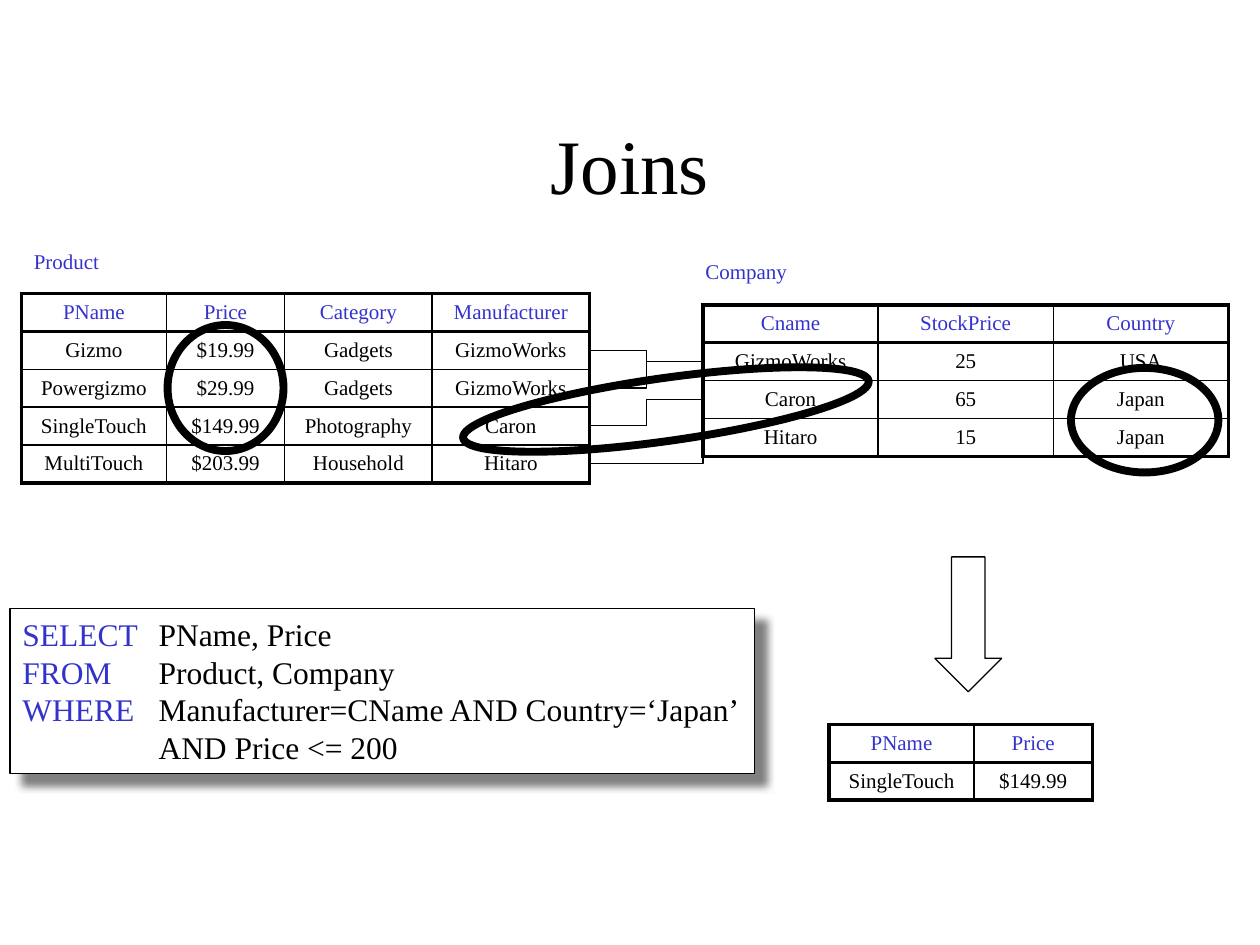
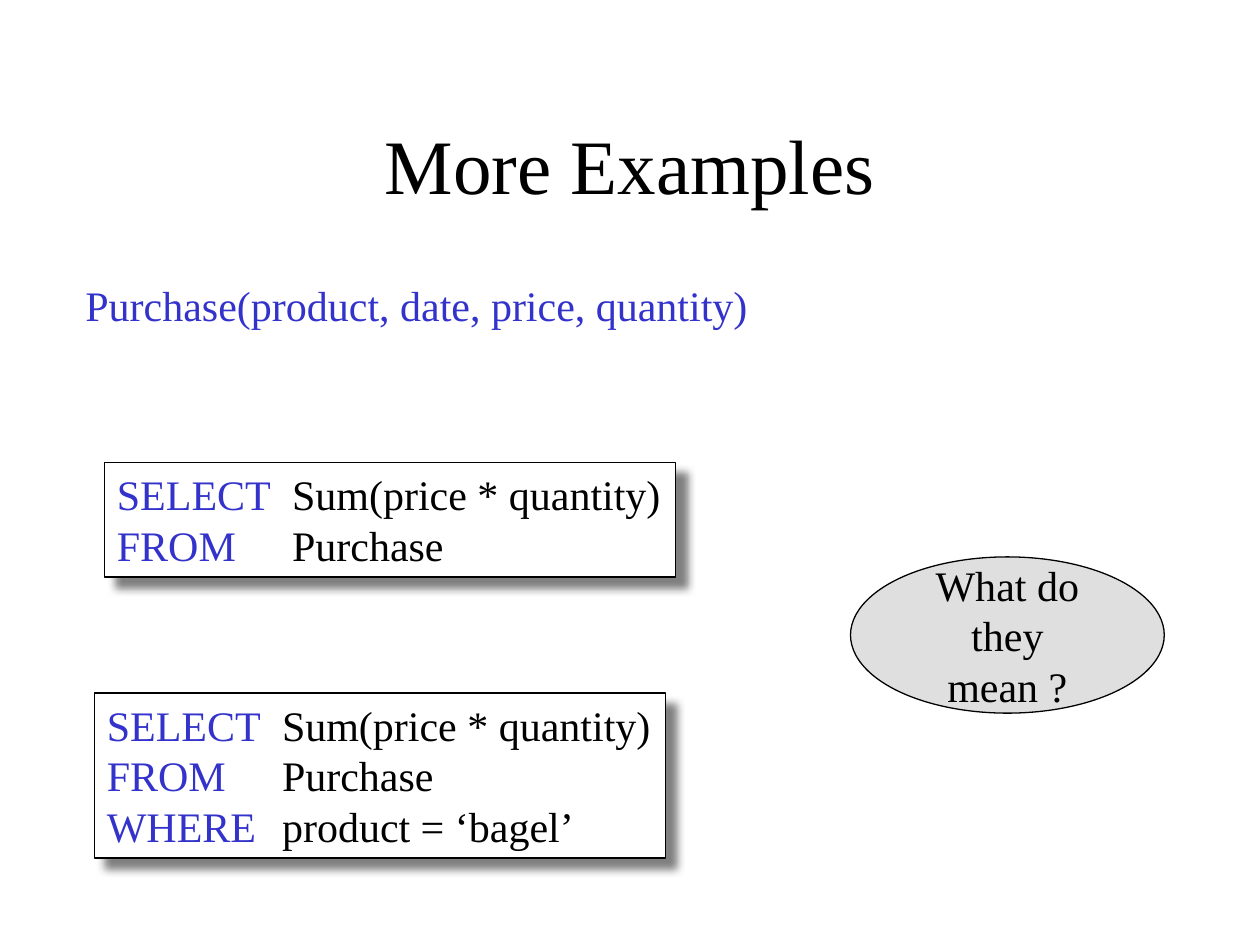
from dataclasses import dataclass

from lxml.etree import SubElement
from pptx import Presentation
from pptx.dml.color import RGBColor
from pptx.enum.shapes import MSO_CONNECTOR, MSO_SHAPE
from pptx.enum.text import MSO_ANCHOR, PP_ALIGN
from pptx.oxml.ns import qn
from pptx.shapes.autoshape import Shape
from pptx.slide import Slide
from pptx.table import _Cell
from pptx.text.text import TextFrame, _Paragraph
from pptx.util import Inches, Pt

BLACK = RGBColor(0x00, 0x00, 0x00)
WHITE = RGBColor(0xFF, 0xFF, 0xFF)
BLUE = RGBColor(0x33, 0x33, 0xCC)
SILVER = RGBColor(0xC0, 0xC0, 0xC0)
SHADOW_GRAY = RGBColor(0x80, 0x80, 0x80)
FONT = "Times New Roman"

ROW_HEIGHT = 0.3
THICK, THIN, HAIRLINE, MARKER = 2.25, 1, 0.75, 4.5


@dataclass(frozen=True)
class Box:
    left: float
    top: float
    width: float
    height: float

    def inches(self) -> tuple[Inches, Inches, Inches, Inches]:
        return (Inches(self.left), Inches(self.top),
                Inches(self.width), Inches(self.height))


@dataclass(frozen=True)
class Relation:
    left: float
    top: float
    columns: tuple[float, ...]
    rows: tuple[tuple[str, ...], ...]
    fill: RGBColor | None = None

    @property
    def right(self) -> float:
        return self.left + sum(self.columns)

    @property
    def bottom(self) -> float:
        return self.top + ROW_HEIGHT * len(self.rows)

    def row_middle(self, row: int) -> float:
        return self.top + ROW_HEIGHT * (row + 0.5)


@dataclass(frozen=True)
class Query:
    box: Box
    size: float
    clause_indent: float
    clauses: tuple[tuple[str, str], ...]


@dataclass(frozen=True)
class Highlight:
    box: Box
    rotation: float = 0


PRODUCT = Relation(0.17, 2.33, (1.15, 0.94, 1.17, 1.25), (
    ("PName", "Price", "Category", "Manufacturer"),
    ("Gizmo", "$19.99", "Gadgets", "GizmoWorks"),
    ("Powergizmo", "$29.99", "Gadgets", "GizmoWorks"),
    ("SingleTouch", "$149.99", "Photography", "Caron"),
    ("MultiTouch", "$203.99", "Household", "Hitaro"),
))
COMPANY = Relation(5.58, 2.42, (1.39, 1.39, 1.39), (
    ("Cname", "StockPrice", "Country"),
    ("GizmoWorks", "25", "USA"),
    ("Caron", "65", "Japan"),
    ("Hitaro", "15", "Japan"),
), WHITE)
ANSWER = Relation(6.58, 5.75, (1.15, 0.94), (
    ("PName", "Price"),
    ("SingleTouch", "$149.99"),
))
# Product row -> matching Company row
MATCHES = ((1, 1), (3, 2), (2, 1))

HIGHLIGHTS = (
    Highlight(Box(8.5, 2.92, 1.17, 0.83)),
    Highlight(Box(1.33, 2.58, 0.92, 1)),
    Highlight(Box(3.66, 3, 3.25, 0.5), 352),
)

JOIN_QUERY = Query(Box(0.08, 4.83, 5.91, 1.31), 18, 1.08, (
    ("SELECT", "PName, Price"),
    ("FROM", "Product, Company"),
    ("WHERE", "Manufacturer=CName AND Country=‘Japan’"),
    ("", "AND Price <= 200"),
))
TOTAL_CLAUSES = (("SELECT", "Sum(price * quantity)"), ("FROM", "Purchase"))
SUM_QUERIES = (
    Query(Box(0.83, 3.67, 4.53, 0.91), 24, 1.39, TOTAL_CLAUSES),
    Query(Box(0.75, 5.5, 4.53, 1.31), 24, 1.39,
          TOTAL_CLAUSES + (("WHERE", "product = ‘bagel’"),)),
)


def add_run(paragraph: _Paragraph, text: str, size: float, color: RGBColor) -> None:
    run = paragraph.add_run()
    run.text = text
    run.font.name = FONT
    run.font.size = Pt(size)
    run.font.color.rgb = color


def next_paragraph(frame: TextFrame, index: int) -> _Paragraph:
    return frame.add_paragraph() if index else frame.paragraphs[0]


def add_label(slide: Slide, box: Box, text: str, size: float = 12,
              color: RGBColor = BLUE) -> TextFrame:
    frame = slide.shapes.add_textbox(*box.inches()).text_frame
    frame.word_wrap = True
    add_run(frame.paragraphs[0], text, size, color)
    return frame


def add_title(slide: Slide, text: str) -> None:
    frame = add_label(slide, Box(0.75, 0.67, 8.5, 1.25), text, 44, BLACK)
    frame.vertical_anchor = MSO_ANCHOR.MIDDLE
    frame.paragraphs[0].alignment = PP_ALIGN.CENTER


def add_outlined(slide: Slide, kind: MSO_SHAPE, box: Box,
                 line_width: float = HAIRLINE, fill: RGBColor | None = None) -> Shape:
    shape = slide.shapes.add_shape(kind, *box.inches())
    shape.shadow.inherit = False
    if fill is None:
        shape.fill.background()
    else:
        shape.fill.solid()
        shape.fill.fore_color.rgb = fill
    shape.line.color.rgb = BLACK
    shape.line.width = Pt(line_width)
    return shape


def set_borders(cell: _Cell, widths: dict[str, float]) -> None:
    properties = cell._tc.get_or_add_tcPr()
    for side, width in widths.items():
        border = SubElement(properties, qn(f"a:ln{side}"), w=str(Pt(width)))
        fill = SubElement(border, qn("a:solidFill"))
        SubElement(fill, qn("a:srgbClr"), val=str(BLACK))


def add_relation(slide: Slide, relation: Relation) -> None:
    row_count, column_count = len(relation.rows), len(relation.columns)
    box = Box(relation.left, relation.top, sum(relation.columns),
              ROW_HEIGHT * row_count)
    table = slide.shapes.add_table(row_count, column_count, *box.inches()).table
    table.first_row = table.horz_banding = False
    for column, width in zip(table.columns, relation.columns):
        column.width = Inches(width)
    for r, values in enumerate(relation.rows):
        table.rows[r].height = Inches(ROW_HEIGHT)
        for c, value in enumerate(values):
            cell = table.cell(r, c)
            set_borders(cell, {
                "L": THICK if c == 0 else THIN,
                "R": THICK if c == column_count - 1 else THIN,
                "T": THICK if r <= 1 else THIN,
                "B": THICK if r in (0, row_count - 1) else THIN,
            })
            if relation.fill is None:
                cell.fill.background()
            else:
                cell.fill.solid()
                cell.fill.fore_color.rgb = relation.fill
            cell.vertical_anchor = MSO_ANCHOR.MIDDLE
            paragraph = cell.text_frame.paragraphs[0]
            paragraph.alignment = PP_ALIGN.CENTER
            add_run(paragraph, value, 12, BLACK if r else BLUE)


def add_match(slide: Slide, start_y: float, end_y: float,
              preset: str = "bentConnector3") -> None:
    """Join a Product row to Company with an elbow line."""
    link = slide.shapes.add_connector(
        MSO_CONNECTOR.ELBOW, Inches(PRODUCT.right), Inches(start_y),
        Inches(COMPANY.left), Inches(end_y))
    link.line.color.rgb = BLACK
    link.line.width = Pt(HAIRLINE)
    properties = link._element.spPr
    properties.find(qn("a:prstGeom")).set("prst", preset)
    SubElement(properties, qn("a:effectLst"))


def add_drop_shadow(shape: Shape) -> None:
    effects = shape._element.spPr.find(qn("a:effectLst"))
    shadow = SubElement(effects, qn("a:outerShdw"), blurRad=str(Pt(5)),
                        dist=str(Pt(8.5)), dir=str(45 * 60000),
                        algn="ctr", rotWithShape="0")
    SubElement(shadow, qn("a:srgbClr"), val=str(SHADOW_GRAY))


def add_query(slide: Slide, query: Query) -> None:
    panel = add_outlined(slide, MSO_SHAPE.RECTANGLE, query.box, fill=WHITE)
    add_drop_shadow(panel)
    frame = panel.text_frame
    frame.word_wrap = True
    frame.vertical_anchor = MSO_ANCHOR.TOP
    for index, (keyword, clause) in enumerate(query.clauses):
        paragraph = next_paragraph(frame, index)
        paragraph.alignment = PP_ALIGN.LEFT
        tabs = SubElement(paragraph._p.get_or_add_pPr(), qn("a:tabLst"))
        SubElement(tabs, qn("a:tab"), pos=str(Inches(query.clause_indent)), algn="l")
        if keyword:
            add_run(paragraph, keyword, query.size, BLUE)
        add_run(paragraph, f"\t{clause}", query.size, BLACK)


def add_question(slide: Slide) -> None:
    bubble = add_outlined(slide, MSO_SHAPE.OVAL, Box(6.75, 4.42, 2.49, 1.24),
                          fill=SILVER)
    color = bubble._element.spPr.find(f"{qn('a:solidFill')}/{qn('a:srgbClr')}")
    SubElement(color, qn("a:alpha"), val="50000")
    frame = bubble.text_frame
    frame.word_wrap = True
    frame.vertical_anchor = MSO_ANCHOR.MIDDLE
    for index, words in enumerate(("What do", "they mean ?")):
        paragraph = next_paragraph(frame, index)
        paragraph.alignment = PP_ALIGN.CENTER
        add_run(paragraph, words, 24, BLACK)


def build_joins(slide: Slide) -> None:
    add_title(slide, "Joins")
    add_relation(slide, PRODUCT)
    add_label(slide, Box(0.17, 1.92, 0.72, 0.3), "Product")
    add_label(slide, Box(5.5, 2, 0.85, 0.3), "Company")
    add_relation(slide, COMPANY)
    for product_row, company_row in MATCHES:
        add_match(slide, PRODUCT.row_middle(product_row),
                  COMPANY.row_middle(company_row))
    add_match(slide, PRODUCT.row_middle(4), COMPANY.bottom, "bentConnector2")
    add_relation(slide, ANSWER)
    add_outlined(slide, MSO_SHAPE.DOWN_ARROW, Box(7.42, 4.42, 0.53, 1.07))
    for highlight in HIGHLIGHTS:
        ring = add_outlined(slide, MSO_SHAPE.OVAL, highlight.box, MARKER)
        ring.rotation = highlight.rotation
    add_query(slide, JOIN_QUERY)


def build_more_examples(slide: Slide) -> None:
    add_label(slide, Box(0.58, 2.17, 5.46, 0.5),
              "Purchase(product, date, price, quantity)", 24)
    add_title(slide, "More Examples")
    for query in SUM_QUERIES:
        add_query(slide, query)
    add_question(slide)


def main() -> None:
    deck = Presentation()
    deck.slide_width, deck.slide_height = Inches(10), Inches(7.5)
    blank = deck.slide_layouts[6]
    for build in (build_joins, build_more_examples):
        build(deck.slides.add_slide(blank))
    deck.save("out.pptx")


if __name__ == "__main__":
    main()
